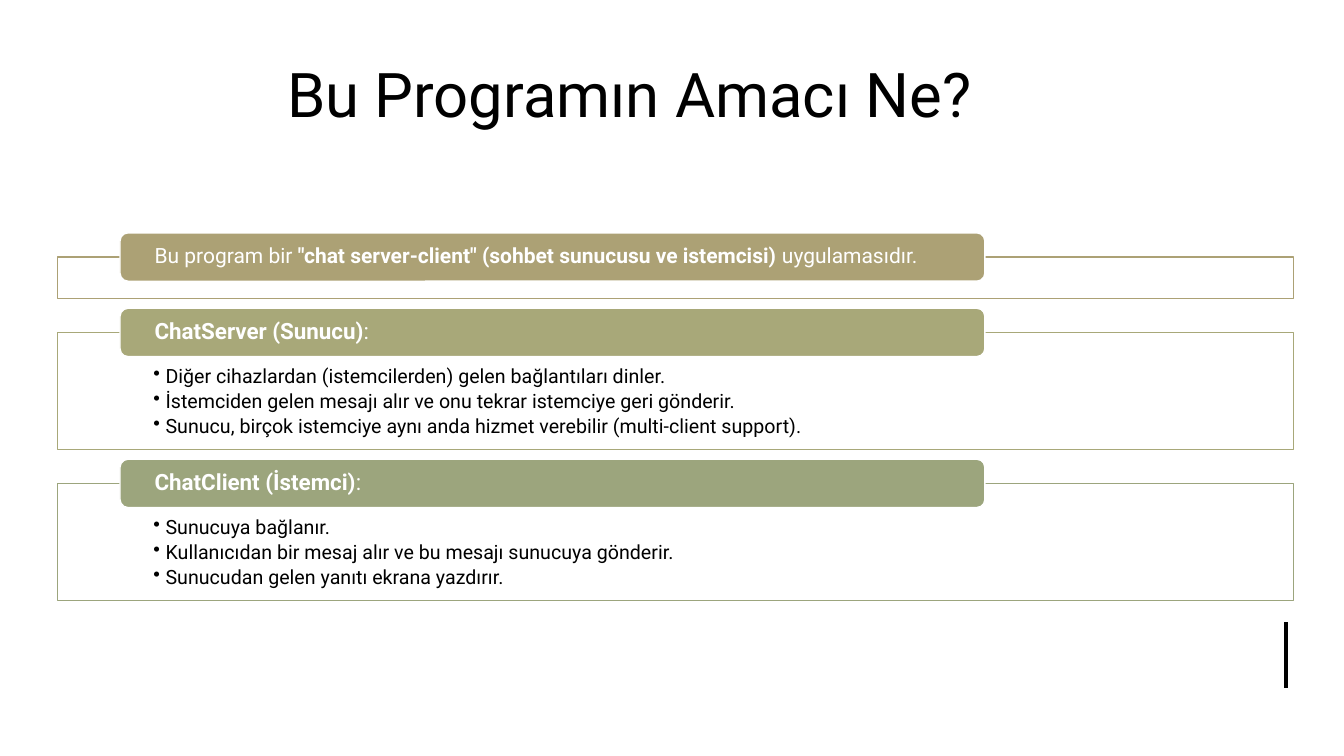
from lxml.etree import SubElement
from pptx import Presentation
from pptx.dml.color import RGBColor
from pptx.enum.shapes import MSO_CONNECTOR, MSO_SHAPE
from pptx.enum.text import MSO_ANCHOR, PP_ALIGN
from pptx.oxml.ns import qn
from pptx.util import Inches, Pt

BLACK = RGBColor(0x00, 0x00, 0x00)
WHITE = RGBColor(0xFF, 0xFF, 0xFF)
SAND = RGBColor(0xAC, 0xA1, 0x75)
OLIVE = RGBColor(0xA8, 0xA8, 0x79)
SAGE = RGBColor(0x9C, 0xA5, 0x7D)

deck = Presentation()
deck.slide_width, deck.slide_height = Inches(13.33), Inches(7.5)
slide = deck.slides.add_slide(deck.slide_layouts[6])
shapes = slide.shapes

# Grid of 100 columns by 100 rows
COL, ROW = deck.slide_width / 100, deck.slide_height / 100


def write(shape, paras, size, color=BLACK, align=PP_ALIGN.LEFT,
          anchor=MSO_ANCHOR.MIDDLE, side=0.75, top=0, after=0,
          lines=0.9, bullet=False):
    """Fill a shape with paragraphs, each a list of (text, bold) runs."""
    frame = shape.text_frame
    frame.word_wrap, frame.vertical_anchor = True, anchor
    frame.margin_left = frame.margin_right = int(side * COL)
    frame.margin_top, frame.margin_bottom = int(top * ROW), 0
    for n, runs in enumerate(paras):
        para = frame.add_paragraph() if n else frame.paragraphs[0]
        para.alignment, para.line_spacing = align, lines
        para.space_after = Pt(after)
        if bullet:
            props = para._p.get_or_add_pPr()
            props.set("marL", str(int(0.9 * COL)))
            props.set("indent", str(int(-0.9 * COL)))
            SubElement(props, qn("a:buChar"), char="•")
        for text, bold in runs:
            run = para.add_run()
            run.text = text
            font = run.font
            font.name, font.size, font.bold = "Roboto", Pt(size), bold
            font.color.rgb = color


def block(kind, x, y, w, h, fill, line):
    """Draw a filled, outlined shape placed on the grid."""
    shape = shapes.add_shape(kind, int(x * COL), int(y * ROW),
                             int(w * COL), int(h * ROW))
    shape.shadow.inherit = False
    shape.fill.solid()
    shape.fill.fore_color.rgb = fill
    shape.line.color.rgb, shape.line.width = line, Pt(1)
    return shape


# Title
title = shapes.add_textbox(int(6.23 * COL), int(4.4 * ROW),
                           int(81.25 * COL), int(16.93 * ROW))
write(title, [[("Bu Programın Amacı Ne?", False)]], 44,
      align=PP_ALIGN.CENTER, lines=0.9)

# Accent line at lower right
accent = shapes.add_connector(MSO_CONNECTOR.STRAIGHT, int(95.7 * COL),
                              int(82.3 * ROW), int(95.7 * COL), int(91 * ROW))
accent.line.color.rgb, accent.line.width = BLACK, Pt(3)
SubElement(accent._element.spPr, qn("a:effectLst"))

# Sections: color, heading size, heading runs, points
parts = [
    (SAND, 15, [("Bu program bir ", False),
                ('"chat server-client" (sohbet sunucusu ve istemcisi) ', True),
                ("uygulamasıdır.", False)], []),
    (OLIVE, 16, [("ChatServer (Sunucu)", True), (":", False)],
     ["Diğer cihazlardan (istemcilerden) gelen bağlantıları dinler.",
      "İstemciden gelen mesajı alır ve onu tekrar istemciye geri gönderir.",
      "Sunucu, birçok istemciye aynı anda hizmet verebilir "
      "(multi-client support)."]),
    (SAGE, 16, [("ChatClient (İstemci)", True), (":", False)],
     ["Sunucuya bağlanır.",
      "Kullanıcıdan bir mesaj alır ve bu mesajı sunucuya gönderir.",
      "Sunucudan gelen yanıtı ekrana yazdırır."]),
]

# Each bar overlaps the top edge of its panel by half its height
BAR, GAP = 6.4, 1.3
top = 30.8
for color, size, head, points in parts:
    tall = 15.47 if points else 5.47
    panel = block(MSO_SHAPE.RECTANGLE, 4.28, top + BAR / 2, 91.95, tall,
                  WHITE, color)
    tint = panel.fill._xPr.find(qn("a:solidFill"))[0]
    SubElement(tint, qn("a:alpha"), val="90000")
    if points:
        write(panel, [[(point, False)] for point in points], 14,
              anchor=MSO_ANCHOR.TOP, side=7.14, top=4.55, after=2.5,
              bullet=True)
    bar = block(MSO_SHAPE.ROUNDED_RECTANGLE, 8.93, top, 64.35, BAR,
                color, WHITE)
    write(bar, [head], size, color=WHITE, side=2.4)
    top += BAR / 2 + tall + GAP

deck.save("out.pptx")
